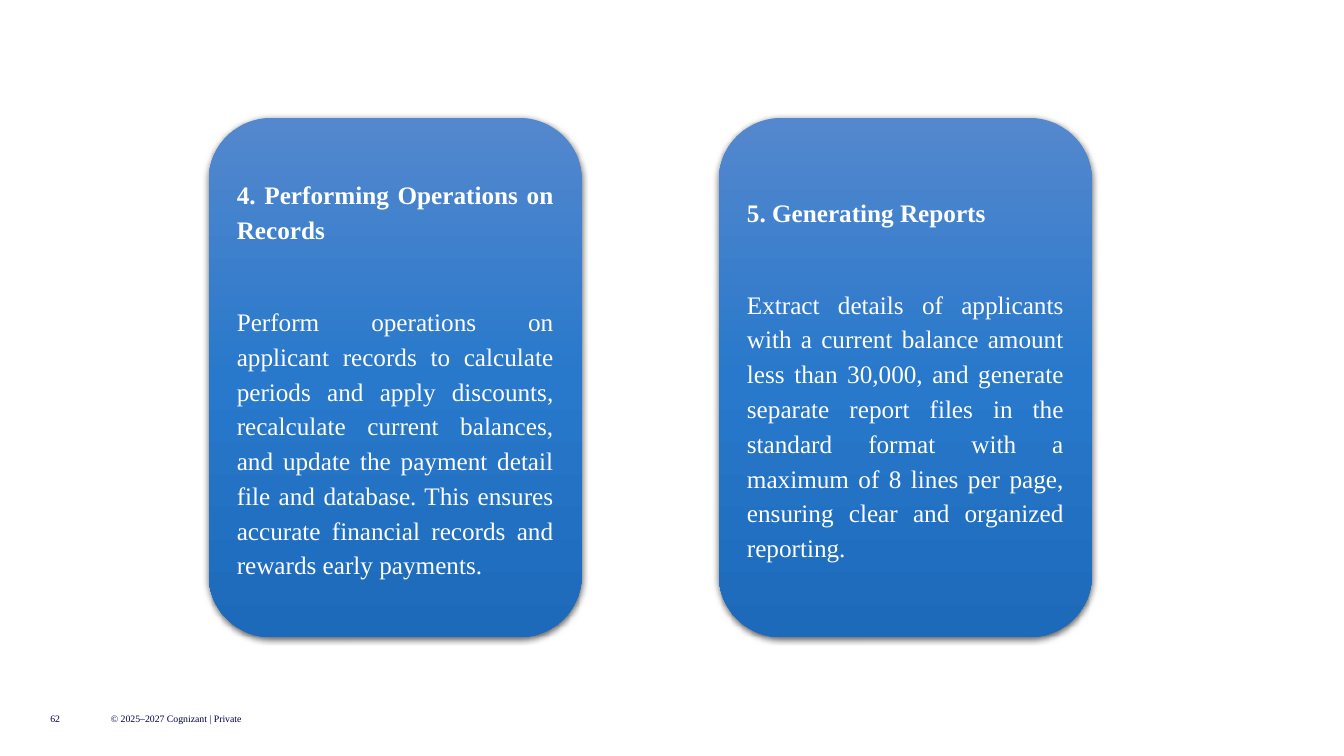
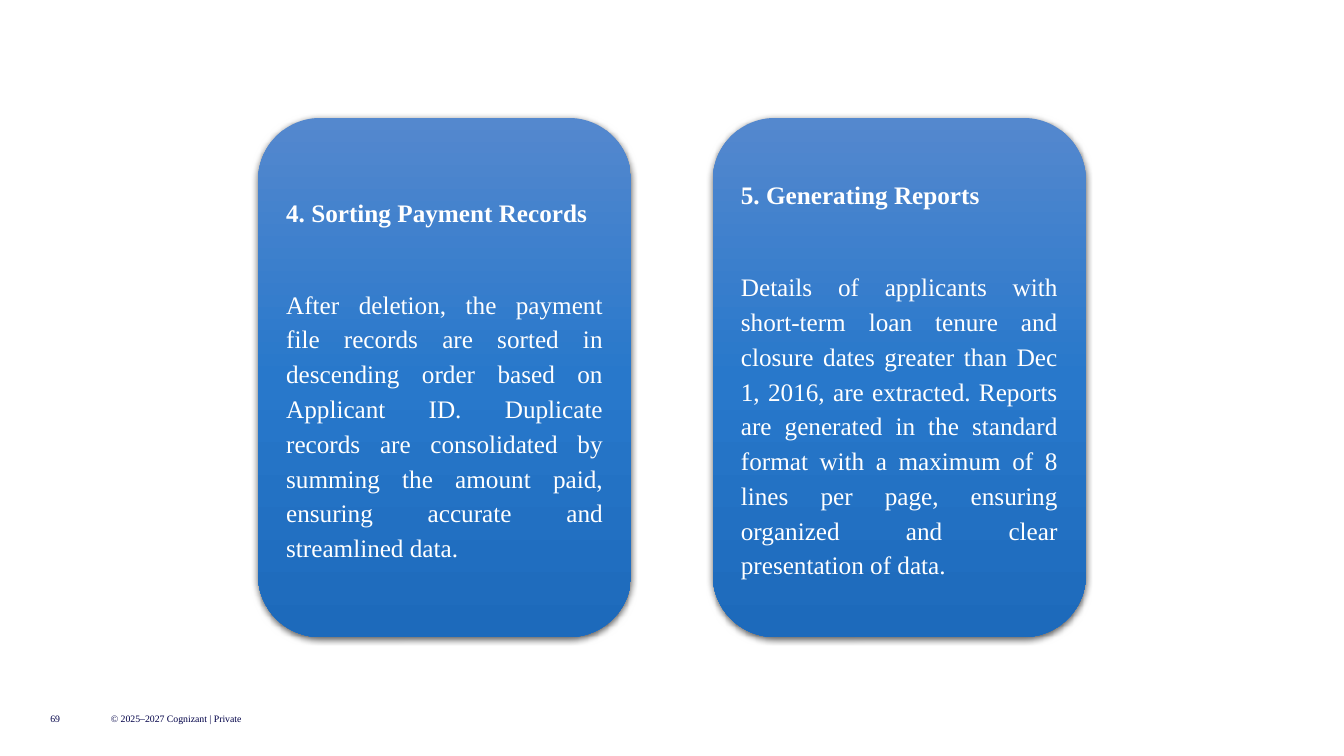
"""Build two slides of process-step cards with a shared footer."""
from copy import deepcopy
from dataclasses import dataclass

from lxml import etree
from pptx import Presentation
from pptx import util as u
from pptx.dml.color import RGBColor
from pptx.enum import shapes, text
from pptx.oxml import ns


@dataclass(frozen=True)
class Theme:
    """Colours, type sizes and shared measures."""

    font: str = "Times New Roman"
    footer_colour: str = "000048"
    card_text: str = "FFFFFF"
    shadow_colour: str = "000000"
    card_gradient: tuple = ((0, "5488CE"), (0.5, "2878CB"), (1, "1D6ABB"))
    footer_size: int = 7
    card_size: int = 18
    card_top: float = 1.17
    card_width: float = 3.7
    card_height: float = 5.15


THEME = Theme()
COPYRIGHT = "© 2025–2027 Cognizant | Private"
SLIDES = (
    (
        "62",
        (
            (
                2.07,
                "4. Performing Operations on Records",
                "Perform operations on applicant records to calculate periods and apply "
                "discounts, recalculate current balances, and update the payment detail file "
                "and database. This ensures accurate financial records and rewards early "
                "payments.",
            ),
            (
                7.13,
                "5. Generating Reports",
                "Extract details of applicants with a current balance amount less than "
                "30,000, and generate separate report files in the standard format with a "
                "maximum of 8 lines per page, ensuring clear and organized reporting.",
            ),
        ),
    ),
    (
        "69",
        (
            (
                2.56,
                "4. Sorting Payment Records",
                "After deletion, the payment file records are sorted in descending order "
                "based on Applicant ID. Duplicate records are consolidated by summing the "
                "amount paid, ensuring accurate and streamlined data.",
            ),
            (
                7.07,
                "5. Generating Reports",
                "Details of applicants with short-term loan tenure and closure dates greater "
                "than Dec 1, 2016, are extracted. Reports are generated in the standard "
                "format with a maximum of 8 lines per page, ensuring organized and clear "
                "presentation of data.",
            ),
        ),
    ),
)


def apply_format(target, values):
    """Set each named attribute on the target."""
    for name, value in values.items():
        setattr(target, name, value)


def write_paragraph(paragraph, wording, size, colour, bold=False, **spacing):
    """Fill a justified paragraph and format it."""
    paragraph.text = wording
    apply_format(paragraph, {"alignment": text.PP_ALIGN.JUSTIFY, **spacing})
    apply_format(
        paragraph.font, {"name": THEME.font, "size": u.Pt(size), "bold": bold}
    )
    paragraph.font.color.rgb = RGBColor.from_string(colour)


def add_footer_text(slide, left, width, wording):
    """Add one piece of the footer line."""
    box = slide.shapes.add_textbox(
        u.Inches(left), u.Inches(7), u.Inches(width), u.Inches(0.25)
    )
    margins = dict.fromkeys(
        ("margin_left", "margin_top", "margin_right", "margin_bottom"), 0
    )
    apply_format(
        box.text_frame,
        {"word_wrap": True, "vertical_anchor": text.MSO_ANCHOR.MIDDLE, **margins},
    )
    write_paragraph(
        box.text_frame.paragraphs[0], wording, THEME.footer_size, THEME.footer_colour
    )


def fill_gradient(shape):
    """Give the shape the theme's top-to-bottom gradient."""
    shape.fill.gradient()
    shape.fill.gradient_angle = 270
    stop_list = shape._element.spPr.find(".//" + ns.qn("a:gsLst"))
    stop_list.append(deepcopy(stop_list[0]))
    for stop, (position, colour) in zip(shape.fill.gradient_stops, THEME.card_gradient):
        stop.position = position
        stop.color.rgb = RGBColor.from_string(colour)


def add_shadow(shape):
    """Give the shape a soft shadow that falls downwards."""
    shape.shadow.inherit = False
    effects = shape._element.spPr.find(ns.qn("a:effectLst"))
    shadow = etree.SubElement(
        effects,
        ns.qn("a:outerShdw"),
        blurRad=str(u.Pt(4.5)),
        dist=str(u.Pt(1.5)),
        dir="5400000",
        algn="ctr",
        rotWithShape="0",
    )
    colour = etree.SubElement(shadow, ns.qn("a:srgbClr"), val=THEME.shadow_colour)
    etree.SubElement(colour, ns.qn("a:alpha"), val="63000")


def add_card(slide, left, heading, body):
    """Add a rounded card with a heading and a description."""
    shape = slide.shapes.add_shape(
        shapes.MSO_SHAPE.ROUNDED_RECTANGLE,
        u.Inches(left),
        u.Inches(THEME.card_top),
        u.Inches(THEME.card_width),
        u.Inches(THEME.card_height),
    )
    fill_gradient(shape)
    shape.line.fill.background()
    add_shadow(shape)
    frame = shape.text_frame
    apply_format(
        frame, {"word_wrap": True, "vertical_anchor": text.MSO_ANCHOR.MIDDLE}
    )
    for paragraph, wording, bold, gap in (
        (frame.paragraphs[0], heading, True, 41),
        (frame.add_paragraph(), body, False, 8),
    ):
        write_paragraph(
            paragraph,
            wording,
            THEME.card_size,
            THEME.card_text,
            bold,
            line_spacing=1.15,
            space_after=u.Pt(gap),
        )


def main():
    """Build and save the presentation."""
    presentation = Presentation()
    apply_format(
        presentation,
        {"slide_width": u.Inches(13.33), "slide_height": u.Inches(7.5)},
    )
    blank_layout = presentation.slide_layouts[6]
    for number, cards in SLIDES:
        slide = presentation.slides.add_slide(blank_layout)
        add_footer_text(slide, 0.5, 0.4, number)
        add_footer_text(slide, 1.1, 1.94, COPYRIGHT)
        for card in cards:
            add_card(slide, *card)
    presentation.save("out.pptx")


if __name__ == "__main__":
    main()
